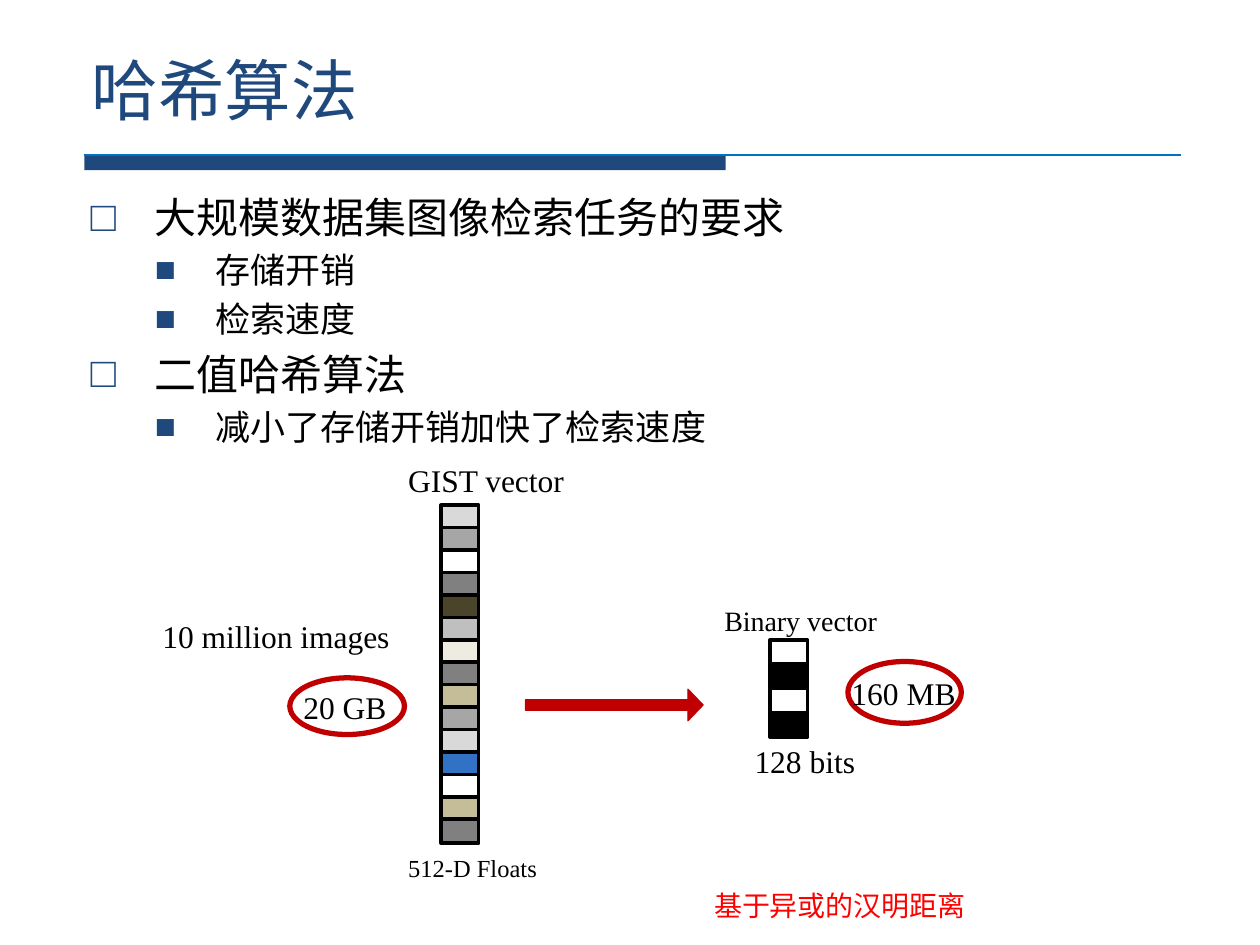
from lxml.etree import SubElement
from pptx import Presentation
from pptx.dml.color import RGBColor
from pptx.enum.shapes import MSO_SHAPE as Shape
from pptx.enum.text import MSO_ANCHOR as Anchor, PP_ALIGN as Align
from pptx.oxml.ns import qn
from pptx.util import Inches, Pt

COLORS = {
    "navy": "1F497D", "rule": "0070C0", "black": "000000", "white": "FFFFFF",
    "crimson": "C00000", "red": "FF0000", "silver": "D9D9D9", "ash": "A6A6A6",
    "gray": "808080", "olive": "4A452A", "pale": "BFBFBF", "ivory": "EEECE1",
    "tan": "C4BD97", "blue": "3172C4",
}
TITLE = "哈希算法"
OUTLINE = [  # level, text
    (0, "大规模数据集图像检索任务的要求"),
    (1, "存储开销"),
    (1, "检索速度"),
    (0, "二值哈希算法"),
    (1, "减小了存储开销加快了检索速度"),
]
LEVELS = [  # bullet, text indent, hanging, size
    ("□", 0.51, 0.51, 24),
    ("■", 0.99, 0.48, 20),
]
VECTORS = [  # left, top, pitch, cell colours from the top
    (6.11, 5.08, 0.193, ["white", "black", "white", "black"]),
    (3.5, 4.01, 0.178, ["silver", "ash", "white", "gray", "olive", "pale", "ivory", "gray",
                        "tan", "ash", "silver", "blue", "white", "tan", "gray"]),
]
CELL_WIDTH, CELL_HEIGHT = 0.3, 0.19
SIZE_RINGS = [(6.73, 5.25, 0.9, 0.49), (2.3, 5.38, 0.91, 0.45)]
LABELS = [  # text, box, size, colour, alignment
    ("Binary vector", (5.65, 4.74, 1.49, 0.37), 16, "black", Align.LEFT),
    ("128 bits", (5.89, 5.84, 1.23, 0.4), 18, "black", Align.LEFT),
    ("160 MB", (6.66, 5.3, 1.07, 0.4), 18, "black", Align.LEFT),
    ("GIST vector", (3.14, 3.61, 1.49, 0.4), 18, "black", Align.LEFT),
    ("512-D Floats", (3.14, 6.72, 1.42, 0.34), 14, "black", Align.LEFT),
    ("20 GB", (2.31, 5.41, 0.94, 0.4), 18, "black", Align.LEFT),
    ("10 million images", (1.19, 4.85, 2.1, 0.4), 18, "black", Align.LEFT),
    ("基于异或的汉明距离", (5.09, 7, 3.15, 0.37), 16, "red", Align.CENTER),
]


def rgb(color):
    return RGBColor.from_string(COLORS[color])


def add_figure(slide, kind, box, fill, line=None, line_width=0.75):
    figure = slide.shapes.add_shape(kind, *map(Inches, box))
    figure.shadow.inherit = False
    figure.fill.solid()
    figure.fill.fore_color.rgb = rgb(fill)
    if line:
        figure.line.color.rgb = rgb(line)
        figure.line.width = Pt(line_width)
    else:
        figure.line.fill.background()
    return figure


def add_frame(slide, box):
    frame = slide.shapes.add_textbox(*map(Inches, box)).text_frame
    frame.word_wrap = True
    return frame


def style(paragraph, font, size, color):
    paragraph.font.name = font
    paragraph.font.size = Pt(size)
    paragraph.font.color.rgb = rgb(color)


def add_bullet(paragraph, char, indent, hanging):
    props = paragraph._p.get_or_add_pPr()
    props.set("marL", str(Inches(indent)))
    props.set("indent", str(-Inches(hanging)))
    color = SubElement(props, qn("a:buClr"))
    SubElement(color, qn("a:srgbClr"), val=COLORS["navy"])
    SubElement(props, qn("a:buFont"), typeface="Arial")
    SubElement(props, qn("a:buChar"), char=char)


def add_header(slide):
    add_figure(slide, Shape.RECTANGLE, (0.67, 1.23, 5.09, 0.12), "navy")
    rule = slide.shapes.add_connector(1, *map(Inches, (0.67, 1.23, 9.37, 1.23)))
    rule.line.color.rgb = rgb("rule")
    rule.line.width = Pt(0.75)
    SubElement(rule._element.spPr, qn("a:effectLst"))
    frame = add_frame(slide, (0.63, 0.33, 8.75, 0.74))
    frame.vertical_anchor = Anchor.BOTTOM
    frame.text = TITLE
    style(frame.paragraphs[0], "Arial", 38, "navy")


def add_outline(slide):
    frame = add_frame(slide, (0.62, 1.47, 8.75, 5.43))
    for i, (level, text) in enumerate(OUTLINE):
        paragraph = frame.add_paragraph() if i else frame.paragraphs[0]
        char, indent, hanging, size = LEVELS[level]
        paragraph.text = text
        paragraph.level = level
        add_bullet(paragraph, char, indent, hanging)
        if i:
            paragraph.space_before = Pt(0.2 * size)
        style(paragraph, "Arial", size, "black")


def add_diagram(slide):
    for left, top, pitch, cells in VECTORS:
        for row, fill in enumerate(cells):
            box = (left, top + row * pitch, CELL_WIDTH, CELL_HEIGHT)
            add_figure(slide, Shape.RECTANGLE, box, fill, "black", 2)
    for box in SIZE_RINGS:
        add_figure(slide, Shape.OVAL, box, "white", "crimson", 3)
    arrow = add_figure(slide, Shape.RIGHT_ARROW, (4.17, 5.47, 1.41, 0.25), "crimson", "crimson")
    arrow.adjustments[0] = 0.33
    arrow.adjustments[1] = 0.48
    for text, box, size, color, alignment in LABELS:
        frame = add_frame(slide, box)
        frame.text = text
        frame.paragraphs[0].alignment = alignment
        style(frame.paragraphs[0], "Times New Roman", size, color)


def main():
    prs = Presentation()
    prs.slide_width, prs.slide_height = Inches(10), Inches(7.5)
    slide = prs.slides.add_slide(prs.slide_layouts[6])
    add_header(slide)
    add_outline(slide)
    add_diagram(slide)
    prs.save("out.pptx")


if __name__ == "__main__":
    main()
